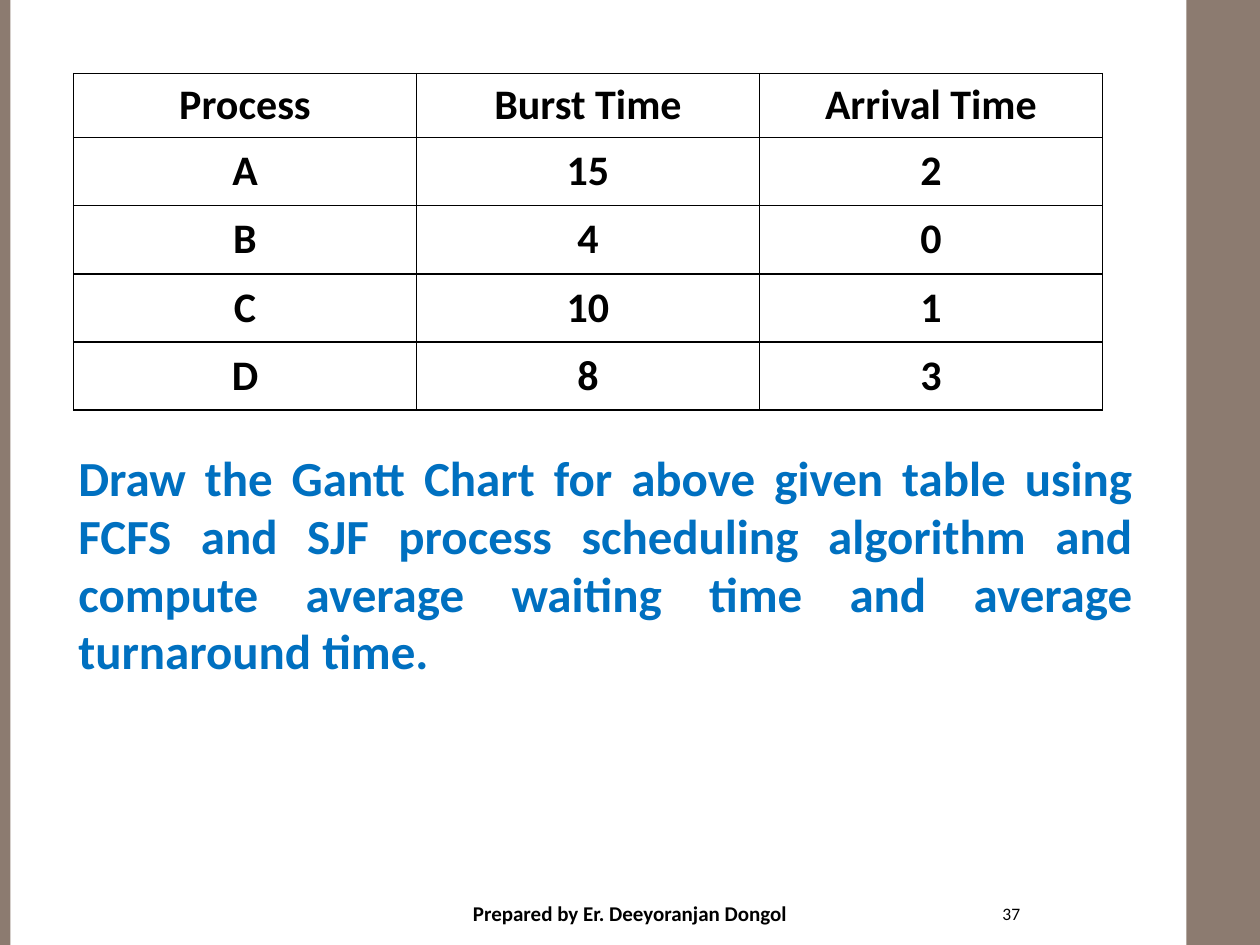
from lxml import etree
from pptx import Presentation
from pptx.dml.color import RGBColor
from pptx.enum import shapes, text
from pptx.oxml import ns
from pptx.util import Pt

BLACK, BLUE, TAUPE = "000000", "0070C0", "8C7B70"
ROWS = [
    ("Process", "Burst Time", "Arrival Time"),
    ("A", "15", "2"),
    ("B", "4", "0"),
    ("C", "10", "1"),
    ("D", "8", "3"),
]
TASK = ("Draw the Gantt Chart for above given table using FCFS and SJF "
        "process scheduling algorithm and compute average waiting time "
        "and average turnaround time.")


def color(code):
    return RGBColor.from_string(code)


def style(para, size, align, code=BLACK, bold=True):
    para.alignment = align
    for run in para.runs:
        font = run.font
        font.name, font.size, font.bold = "Calibri", Pt(size), bold
        font.color.rgb = color(code)


def add_bar(slide, box):
    bar = slide.shapes.add_shape(shapes.MSO_SHAPE.RECTANGLE, *map(Pt, box))
    bar.shadow.inherit = False
    bar.fill.solid()
    bar.fill.fore_color.rgb = color(TAUPE)
    bar.line.fill.background()


def add_label(slide, box, words, anchor, *look):
    """Add a wrapped one-paragraph text box and return its paragraph."""
    frame = slide.shapes.add_textbox(*map(Pt, box)).text_frame
    frame.word_wrap = True
    frame.vertical_anchor = anchor
    frame.text = words
    para = frame.paragraphs[0]
    style(para, *look)
    return para


def add_border(cell):
    props = cell._tc.get_or_add_tcPr()
    for i, side in enumerate(("lnL", "lnR", "lnT", "lnB")):
        line = etree.Element(ns.qn("a:" + side), w=str(Pt(1)))
        fill = etree.SubElement(line, ns.qn("a:solidFill"))
        etree.SubElement(fill, ns.qn("a:srgbClr"), val=BLACK)
        props.insert(i, line)


def add_grid(slide, box, head):
    """Add the process table; head is the height of its first row."""
    left, top, width, height = box
    grid = slide.shapes.add_table(len(ROWS), len(ROWS[0]), *map(Pt, box)).table
    for col in grid.columns:
        col.width = Pt(width / len(ROWS[0]))
    for r, row in enumerate(ROWS):
        grid.rows[r].height = Pt(head if r == 0 else (height - head) / (len(ROWS) - 1))
        for c, words in enumerate(row):
            cell = grid.cell(r, c)
            cell.text = words
            cell.vertical_anchor = text.MSO_ANCHOR.MIDDLE
            cell.fill.background()
            style(cell.text_frame.paragraphs[0], 24, text.PP_ALIGN.CENTER)
            add_border(cell)


def add_task(slide, box):
    para = add_label(slide, box, TASK, text.MSO_ANCHOR.TOP,
                     28, text.PP_ALIGN.JUSTIFY, BLUE)
    para.line_spacing = 0.98
    para.space_before = Pt(2.5)
    props = para._p.get_or_add_pPr()
    props.set("marL", str(Pt(13.7)))
    props.set("indent", "0")


def add_footer(slide, top, height):
    mid = text.MSO_ANCHOR.MIDDLE
    add_label(slide, (213, top, 294, height), "Prepared by Er. Deeyoranjan Dongol",
              mid, 12, text.PP_ALIGN.CENTER)
    add_label(slide, (512, top, 78, height), "37",
              mid, 10, text.PP_ALIGN.RIGHT, BLACK, False)


def main():
    deck = Presentation()
    deck.slide_width, deck.slide_height = Pt(720), Pt(540)
    slide = deck.slides.add_slide(deck.slide_layouts[6])
    add_bar(slide, (678, 0, 42, 540))
    add_bar(slide, (0, 0, 6, 540))
    add_footer(slide, 510, 24)
    add_grid(slide, (42, 42, 588, 192.5), 36.5)
    add_task(slide, (24, 254, 630, 177))
    deck.save("out.pptx")


if __name__ == "__main__":
    main()
